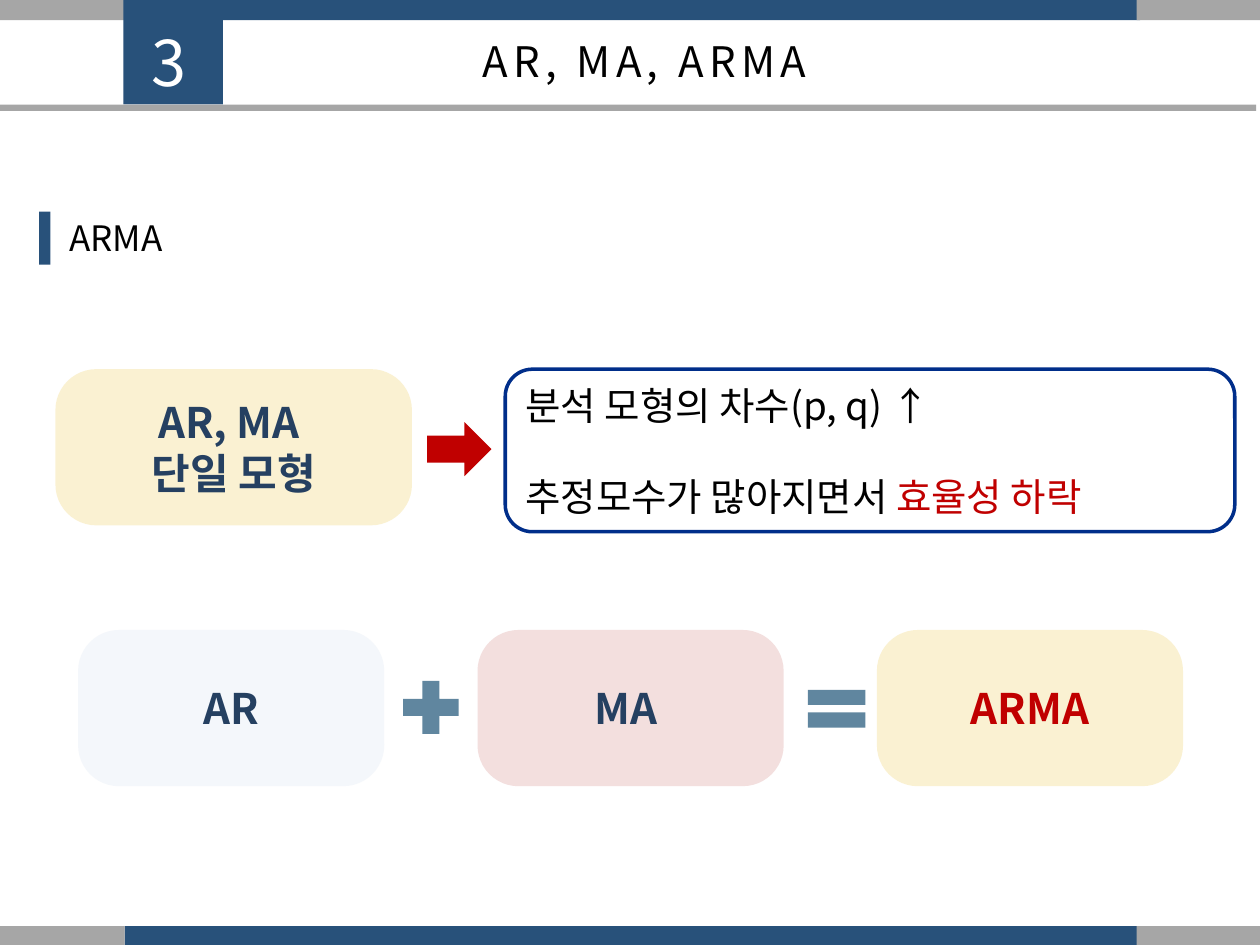
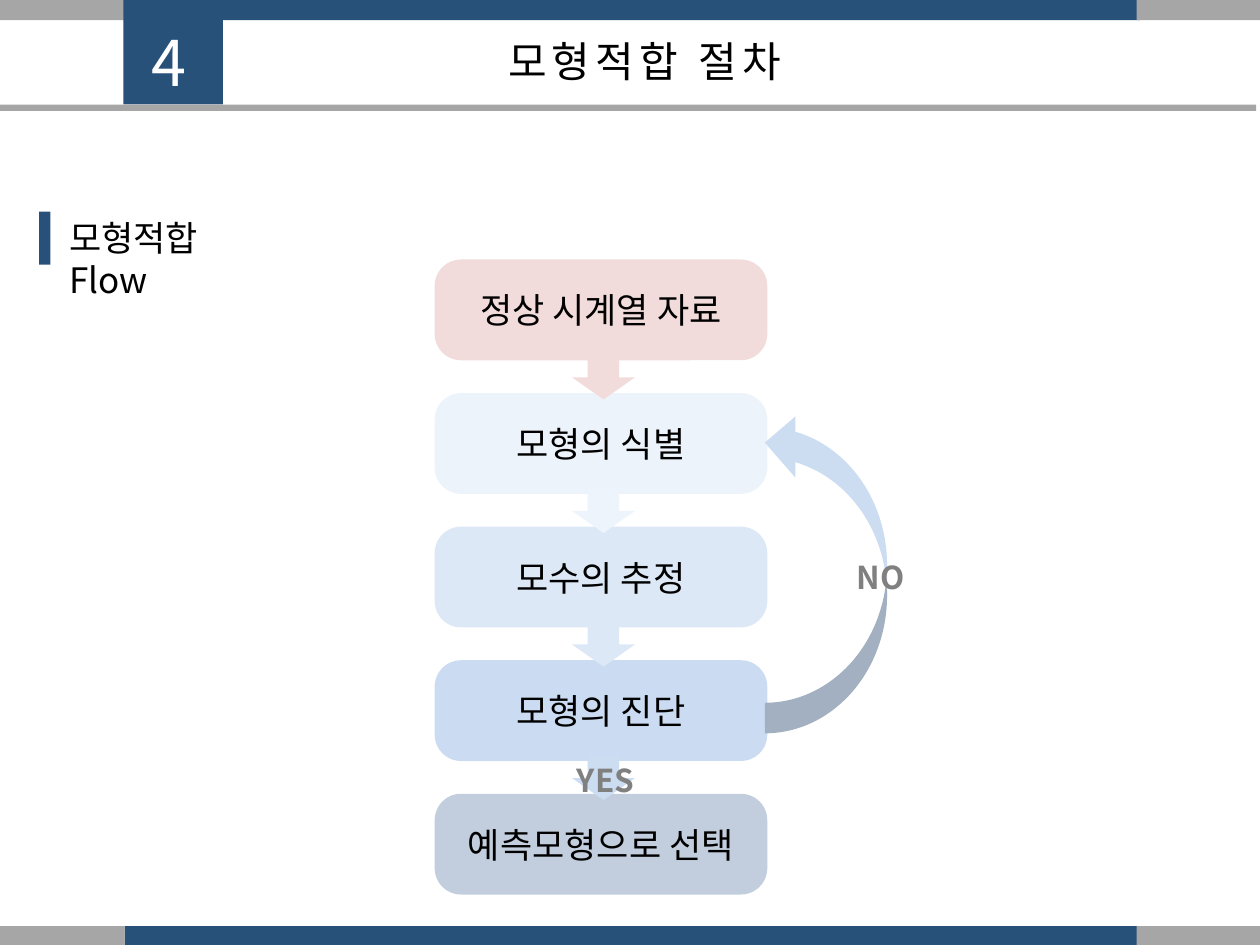
from lxml import etree
from pptx import Presentation
from pptx.dml.color import RGBColor
from pptx.enum.shapes import MSO_SHAPE
from pptx.enum.text import MSO_ANCHOR, MSO_AUTO_SIZE, PP_ALIGN
from pptx.oxml.ns import qn
from pptx.util import Inches, Pt

RECT, ROUND = MSO_SHAPE.RECTANGLE, MSO_SHAPE.ROUNDED_RECTANGLE
UP, DOWN = MSO_SHAPE.UP_ARROW, MSO_SHAPE.DOWN_ARROW
CURVE = MSO_SHAPE.CURVED_RIGHT_ARROW
PLUS, EQUAL = MSO_SHAPE.MATH_PLUS, MSO_SHAPE.MATH_EQUAL
MIDDLE, GROW = MSO_ANCHOR.MIDDLE, MSO_AUTO_SIZE.SHAPE_TO_FIT_TEXT
LEFT, CENTER = PP_ALIGN.LEFT, PP_ALIGN.CENTER

# Shared style
FONT = "Noto Sans CJK KR"
BLUE, GRAY, BLACK, WHITE = "28517A", "A6A6A6", "000000", "FFFFFF"
NAVY, RED, STEEL, SAND = "254061", "C00000", "60869F", "F0D36C"
CURVED = 0.262
TITLE = {"size": 24, "color": BLACK, "space": 3}
NUMBER = {"size": 36, "color": WHITE, "space": 3}
HEAD = {"size": 20, "color": BLACK}
BOLD = {"size": 24, "color": NAVY, "bold": True}
BODY = {"size": 22, "color": BLACK}
LABEL = {"size": 18, "color": "808080", "bold": True}

# Content
ARMA = {"number": "3", "title": "AR, MA, ARMA", "head": "ARMA", "wide": 0.95}
FLOW = {"number": "4", "title": "모형적합 절차", "head": "모형적합 Flow", "wide": 1.8}
SINGLE = ["AR, MA ", "단일 모형"]
EFFECT = ["분석 모형의 차수(p, q) ↑",
          [("추정모수가 많아지면서 ", {}), ("효율성 하락", {"color": RED})]]
TERMS = [("AR", "DCE6F2", NAVY), ("MA ", "D99694", NAVY), ("ARMA", SAND, RED)]
SIGNS = [(PLUS, (3.12, 5.33, 0.6, 0.57)), (EQUAL, (6.33, 5.37, 0.62, 0.51))]
STEPS = [  # text, fill, alpha, colour of the arrow below
    ("정상 시계열 자료", "F2DCDB", None, "F2DCDB"),
    ("모형의 식별", "C6D9F1", 30, "EEF4FB"),
    ("모수의 추정", "8EB4E3", 30, "DDE8F7"),
    ("모형의 진단", "558ED5", 30, "CCDDF2"),
    ("예측모형으로 선택", "376092", 30, None),
]
ANSWERS = [("YES", (4.48, 5.99, 0.7, 0.4)), ("NO", (6.7, 4.38, 0.7, 0.4))]


def rgb(code):
    return RGBColor.from_string(code)


def style(run, form):
    font = run.font
    values = {"name": FONT, "size": Pt(form["size"]), "bold": form.get("bold", False)}
    for key, value in values.items():
        setattr(font, key, value)
    font.color.rgb = rgb(form["color"])
    props = run._r.get_or_add_rPr()
    etree.SubElement(props, qn("a:ea"), typeface=FONT)
    if "space" in form:
        props.set("spc", str(form["space"] * 100))


def write(frame, lines, form, align=CENTER, gap=0):
    """Each line is a string or a list of (text, changes) runs."""
    frame.word_wrap = True
    for i, line in enumerate(lines):
        para = frame.paragraphs[0] if i == 0 else frame.add_paragraph()
        para.alignment = align
        if i:
            para.space_before = Pt(gap)
        for text, extra in [(line, {})] if isinstance(line, str) else line:
            run = para.add_run()
            run.text = text
            style(run, {**form, **extra})


def shape(slide, kind, box, fill=None, alpha=None, turn=0, adj=None):
    item = slide.shapes.add_shape(kind, *map(Inches, box))
    item.shadow.inherit = False
    item.line.fill.background()
    item.rotation = turn
    if adj:
        item.adjustments[0] = adj
    if fill:
        item.fill.solid()
        item.fill.fore_color.rgb = rgb(fill)
    else:
        item.fill.background()
    if alpha:
        color = item._element.spPr.find(qn("a:solidFill"))[0]
        etree.SubElement(color, qn("a:alpha"), val=str(alpha * 1000))
    item.text_frame.vertical_anchor = MIDDLE
    return item


def label(slide, box, text, form, align=CENTER):
    frame = slide.shapes.add_textbox(*map(Inches, box)).text_frame
    write(frame, [text], form, align)
    frame.auto_size = GROW


def start(deck, page):
    slide = deck.slides.add_slide(deck.slide_layouts[6])
    # Bands at top and bottom
    for top in (0, 7.35):
        for left, wide, fill in ((0.99, 8.06, BLUE), (0, 0.99, GRAY), (9.02, 0.98, GRAY)):
            shape(slide, RECT, (left, top, wide, 0.16), fill)
    # Title row
    shape(slide, RECT, (0.98, 0, 0.79, 0.83), BLUE)
    label(slide, (3.03, 0.23, 4.17, 0.5), page["title"], TITLE)
    shape(slide, RECT, (-0.05, 0.83, 10.02, 0.05), GRAY)
    label(slide, (0.91, 0.14, 0.87, 0.71), page["number"], NUMBER)
    # Section heading
    shape(slide, RECT, (0.31, 1.68, 0.09, 0.42), BLUE)
    label(slide, (0.45, 1.67, page["wide"], 0.44), page["head"], HEAD, LEFT)
    return slide


def draw_arma(deck):
    slide = start(deck, ARMA)
    # Single models and their drawback
    single = shape(slide, ROUND, (0.44, 2.93, 2.83, 1.24), SAND, 30, adj=CURVED)
    write(single.text_frame, SINGLE, BOLD)
    shape(slide, UP, (3.43, 3.31, 0.43, 0.51), RED, turn=90)
    effect = shape(slide, ROUND, (4.01, 2.93, 5.79, 1.29))
    effect.line.color.rgb = rgb("002E8A")
    effect.line.width = Pt(2)
    write(effect.text_frame, EFFECT, BODY, LEFT, gap=26)
    # AR + MA = ARMA
    for i, (text, fill, color) in enumerate(TERMS):
        term = shape(slide, ROUND, (0.62 + 3.17 * i, 5, 2.43, 1.24), fill, 30, adj=CURVED)
        write(term.text_frame, [text], {**BOLD, "color": color})
    for kind, box in SIGNS:
        shape(slide, kind, box, STEEL)


def draw_flow(deck):
    slide = start(deck, FLOW)
    pitch = 1.06
    # Steps, then the arrows between them
    for i, (text, fill, alpha, _) in enumerate(STEPS):
        step = shape(slide, ROUND, (3.45, 2.06 + pitch * i, 2.64, 0.8), fill, alpha, adj=CURVED)
        write(step.text_frame, [text], HEAD)
    for i, (*_, color) in enumerate(STEPS[:-1]):
        shape(slide, DOWN, (4.54, 2.82 + pitch * i, 0.5, 0.35), color)
    # Loop back and answers
    shape(slide, CURVE, (6.07, 3.27, 0.97, 2.55), "CCDDF2", turn=180)
    for text, box in ANSWERS:
        label(slide, box, text, LABEL, LEFT)


def main():
    deck = Presentation()
    deck.slide_width, deck.slide_height = Inches(10), Inches(7.5)
    draw_arma(deck)
    draw_flow(deck)
    deck.save("out.pptx")


if __name__ == "__main__":
    main()
